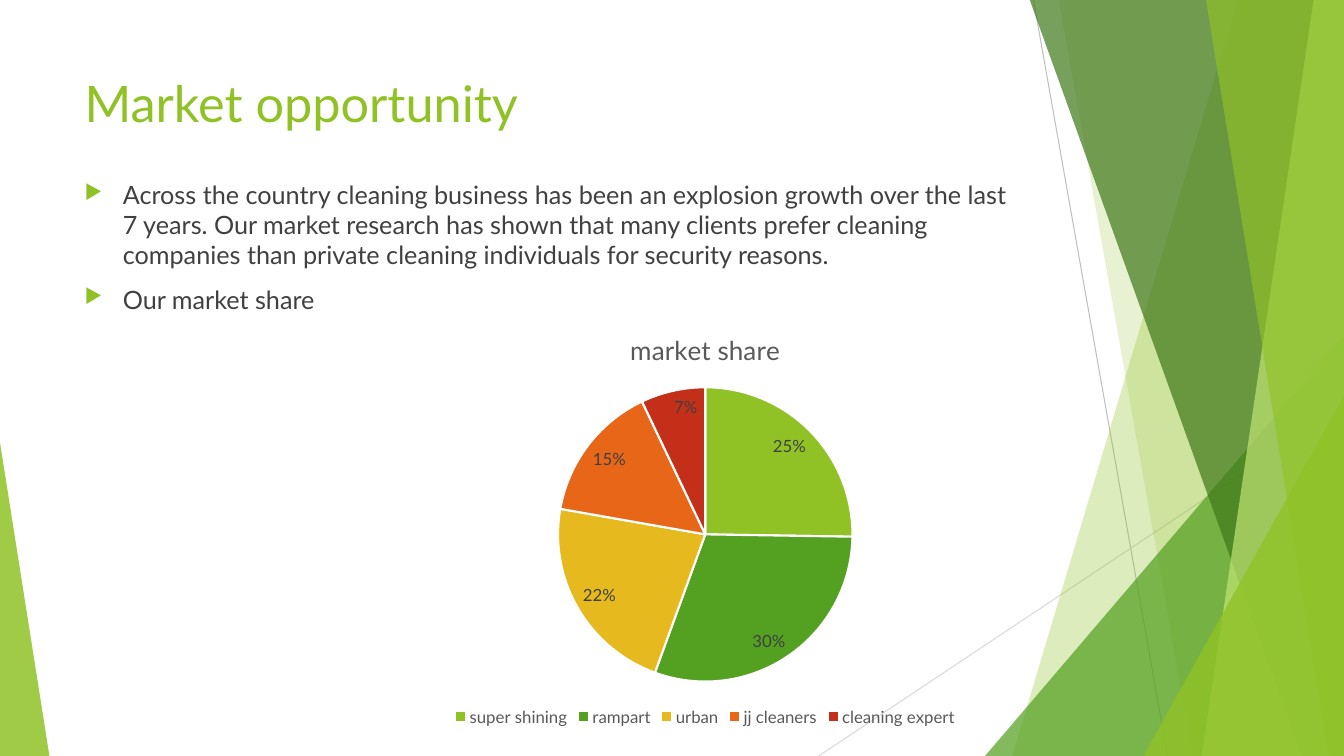
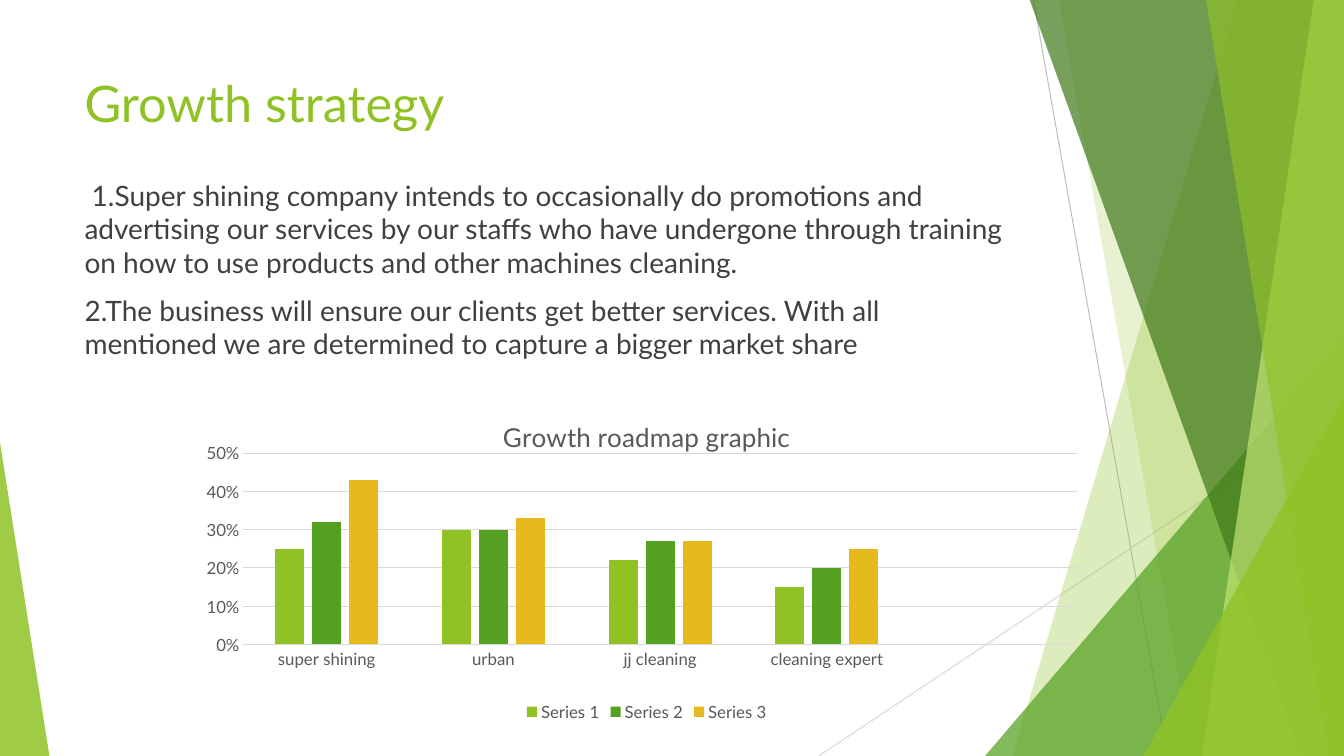
from lxml import etree
from pptx import Presentation
from pptx.chart.data import CategoryChartData
from pptx.dml.color import RGBColor
from pptx.enum.chart import (XL_CHART_TYPE as ChartType, XL_LABEL_POSITION as LabelPosition,
                             XL_LEGEND_POSITION as LegendPosition, XL_TICK_MARK as TickMark)
from pptx.enum.shapes import MSO_CONNECTOR as Connector, MSO_SHAPE as Preset
from pptx.oxml.ns import qn
from pptx.util import Inches, Pt

LIME = RGBColor(0x90, 0xC2, 0x26)
GREEN = RGBColor(0x54, 0xA0, 0x21)
FOREST = RGBColor(0x3F, 0x78, 0x19)
PALE_LIME = RGBColor(0xC0, 0xE4, 0x74)
GOLD = RGBColor(0xE6, 0xB9, 0x1E)
ORANGE = RGBColor(0xE7, 0x66, 0x18)
RED = RGBColor(0xC4, 0x2F, 0x1A)
WHITE = RGBColor(0xFF, 0xFF, 0xFF)
INK = RGBColor(0x40, 0x40, 0x40)
CHART_INK = RGBColor(0x59, 0x59, 0x59)
MID_GRAY = RGBColor(0xBF, 0xBF, 0xBF)
LIGHT_GRAY = RGBColor(0xD9, 0xD9, 0xD9)
PALETTE = [LIME, GREEN, GOLD, ORANGE, RED]

FONT = "Lato"
WIDTH, HEIGHT = 13.33, 7.5
LEFT, TEXT_WIDTH = 0.74, 9.4
BAND_TOP = -0.01
INDENT = 0.38

# Facets in drawing order. A band is (top left, top right, bottom right, bottom left);
# a triangle is (left, top, width, apex position).
BAND, TRIANGLE = "band", "triangle"
FACETS = [
    (BAND, (12.28, WIDTH, WIDTH, 10.04), LIME, 30),
    (BAND, (10.5, WIDTH, WIDTH, 11.83), LIME, 20),
    (TRIANGLE, (9.77, 3.33, 3.56, 1), GREEN, 72),
    (BAND, (10.21, WIDTH, WIDTH, 12.91), FOREST, 70),
    (BAND, (13.03, WIDTH, WIDTH, 11.92), PALE_LIME, 70),
    (BAND, (11.96, WIDTH, WIDTH, 13.18), LIME, 65),
    (TRIANGLE, (11.34, 3.93, 1.99, 1), LIME, 80),
    (TRIANGLE, (0, 4.39, 0.49, 0), LIME, 85),
]


def set_font(font, size, color):
    for attribute, value in {"name": FONT, "size": Pt(size), "bold": False}.items():
        setattr(font, attribute, value)
    font.color.rgb = color


def set_line(line, color, width=0.75):
    line.color.rgb = color
    line.width = Pt(width)


def add_bullet(paragraph):
    props = paragraph._p.get_or_add_pPr()
    props.set("marL", str(Inches(INDENT)))
    props.set("indent", str(-Inches(INDENT)))
    color = etree.SubElement(props, qn("a:buClr"))
    etree.SubElement(color, qn("a:srgbClr"), val=str(LIME))
    etree.SubElement(props, qn("a:buSzPct"), val="80000")
    etree.SubElement(props, qn("a:buChar"), char="▶")


def set_plot_area(chart, x, y, w, h):
    """Fix the inner plot area as fractions of the chart."""
    plot_area = chart._chartSpace.chart.plotArea
    for old in plot_area.findall(qn("c:layout")):
        plot_area.remove(old)
    layout = etree.Element(qn("c:layout"))
    manual = etree.SubElement(layout, qn("c:manualLayout"))
    settings = {"layoutTarget": "inner", "xMode": "edge", "yMode": "edge",
                "x": x, "y": y, "w": w, "h": h}
    for tag, value in settings.items():
        etree.SubElement(manual, qn(f"c:{tag}"), val=str(value))
    plot_area.insert(0, layout)


class Deck:
    """Holds the shared style and the slide being built."""

    def __init__(self):
        self.presentation = Presentation()
        self.presentation.slide_width = Inches(WIDTH)
        self.presentation.slide_height = Inches(HEIGHT)
        self.slide = None

    def new_slide(self, title):
        self.slide = self.presentation.slides.add_slide(self.presentation.slide_layouts[6])
        self.line((10.25, 0), (11.58, HEIGHT), MID_GRAY)
        self.line((WIDTH, 4.03), (8.12, HEIGHT), LIGHT_GRAY)
        for kind, outline, color, opacity in FACETS:
            draw = self.band if kind == BAND else self.triangle
            self.paint(draw(*outline), color, opacity)
        self.text([title], top=0.67, height=0.71, size=36, color=LIME)

    def line(self, start, end, color):
        points = [Inches(value) for value in (*start, *end)]
        connector = self.slide.shapes.add_connector(Connector.STRAIGHT, *points)
        set_line(connector.line, color)
        etree.SubElement(connector._element.spPr, qn("a:effectLst"))

    def band(self, top_left, top_right, bottom_right, bottom_left):
        corners = [(top_left, BAND_TOP), (top_right, BAND_TOP),
                   (bottom_right, HEIGHT), (bottom_left, HEIGHT)]
        start, *others = [(Inches(x), Inches(y)) for x, y in corners]
        builder = self.slide.shapes.build_freeform(*start)
        builder.add_line_segments(others, close=True)
        return builder.convert_to_shape()

    def triangle(self, left, top, width, apex):
        shape = self.slide.shapes.add_shape(
            Preset.ISOSCELES_TRIANGLE, Inches(left), Inches(top),
            Inches(width), Inches(HEIGHT - top))
        shape.adjustments[0] = apex
        return shape

    def paint(self, shape, color, opacity):
        shape.shadow.inherit = False
        shape.line.fill.background()
        shape.fill.solid()
        shape.fill.fore_color.rgb = color
        rgb = shape._element.spPr.find(qn("a:solidFill")).find(qn("a:srgbClr"))
        etree.SubElement(rgb, qn("a:alpha"), val=str(opacity * 1000))

    def text(self, paragraphs, top, height, size, color=INK, bullets=False):
        box = self.slide.shapes.add_textbox(
            Inches(LEFT), Inches(top), Inches(TEXT_WIDTH), Inches(height))
        frame = box.text_frame
        frame.word_wrap = True
        for index, content in enumerate(paragraphs):
            paragraph = frame.add_paragraph() if index else frame.paragraphs[0]
            if bullets:
                add_bullet(paragraph)
            if index:
                paragraph.space_before = Pt(10)
            run = paragraph.add_run()
            run.text = content
            set_font(run.font, size, color)

    def chart(self, kind, title, categories, series, left, top, width, height):
        data = CategoryChartData(number_format="0%")
        data.categories = categories
        for label, values in series.items():
            data.add_series(label, values)
        chart = self.slide.shapes.add_chart(
            kind, Inches(left), Inches(top), Inches(width), Inches(height), data).chart
        set_font(chart.font, 12, CHART_INK)
        chart.has_title = True
        chart.chart_title.include_in_layout = False
        heading = chart.chart_title.text_frame
        heading.text = title
        set_font(heading.paragraphs[0].runs[0].font, 18.6, CHART_INK)
        chart.has_legend = True
        chart.legend.position = LegendPosition.BOTTOM
        chart.legend.include_in_layout = False
        set_font(chart.legend.font, 12, CHART_INK)
        return chart

    def pie(self, title, shares, **place):
        chart = self.chart(ChartType.PIE, title, list(shares),
                           {title: list(shares.values())}, **place)
        plot = chart.plots[0]
        plot.vary_by_categories = True
        for index, color in enumerate(PALETTE[:len(shares)]):
            wedge = plot.series[0].points[index].format
            wedge.fill.solid()
            wedge.fill.fore_color.rgb = color
            set_line(wedge.line, WHITE, 1.5)
        plot.has_data_labels = True
        labels = plot.data_labels
        label_format = {"show_value": True, "show_percentage": False,
                        "number_format": "0%", "number_format_is_linked": False,
                        "position": LabelPosition.INSIDE_END}
        for attribute, value in label_format.items():
            setattr(labels, attribute, value)
        set_font(labels.font, 12, INK)

    def columns(self, title, categories, series, plot_area, **place):
        chart = self.chart(ChartType.COLUMN_CLUSTERED, title, categories, series, **place)
        set_plot_area(chart, *plot_area)
        plot = chart.plots[0]
        for attribute, value in {"gap_width": 219, "overlap": -27,
                                 "vary_by_categories": False}.items():
            setattr(plot, attribute, value)
        for bars, color in zip(plot.series, PALETTE):
            bars.format.fill.solid()
            bars.format.fill.fore_color.rgb = color
        for axis in (chart.category_axis, chart.value_axis):
            axis.major_tick_mark = axis.minor_tick_mark = TickMark.NONE
            set_font(axis.tick_labels.font, 12, CHART_INK)
        set_line(chart.category_axis.format.line, LIGHT_GRAY)
        scale = chart.value_axis
        for attribute, value in {"minimum_scale": 0, "maximum_scale": 0.5, "major_unit": 0.1,
                                 "has_major_gridlines": True}.items():
            setattr(scale, attribute, value)
        scale.format.line.fill.background()
        set_line(scale.major_gridlines.format.line, LIGHT_GRAY)
        scale.tick_labels.number_format = "0%"
        scale.tick_labels.number_format_is_linked = False


def main():
    deck = Deck()

    deck.new_slide("Market opportunity")
    deck.text([
        "Across the country cleaning business has been an explosion growth over the last "
        "7 years. Our market research has shown that many clients prefer cleaning "
        "companies than private cleaning individuals for security reasons.",
        "Our market share",
    ], top=1.73, height=4.87, size=18, bullets=True)
    deck.pie("market share",
             {"super shining": 0.25, "rampart": 0.3, "urban": 0.22,
              "jj cleaners": 0.15, "cleaning expert": 0.07},
             left=3.2, top=3.1, width=7.59, height=4.15)

    deck.new_slide("Growth strategy")
    deck.text([
        " 1.Super shining company intends to occasionally do promotions and advertising "
        "our services by our staffs who have undergone through training on how to use "
        "products and other machines cleaning.",
        "2.The business will ensure our clients get better services. With all mentioned "
        "we are determined to capture a bigger market share",
    ], top=1.72, height=5.48, size=20)
    deck.columns("Growth roadmap graphic",
                 ["super shining", "urban", "jj cleaning", "cleaning expert", ""],
                 {"Series 1": [0.25, 0.3, 0.22, 0.15, None],
                  "Series 2": [0.32, 0.3, 0.27, 0.2, None],
                  "Series 3": [0.43, 0.33, 0.27, 0.25, None]},
                 plot_area=(0.05, 0.16, 0.93, 0.59),
                 left=1.97, top=3.98, width=8.89, height=3.22)

    deck.presentation.save("out.pptx")


if __name__ == "__main__":
    main()
